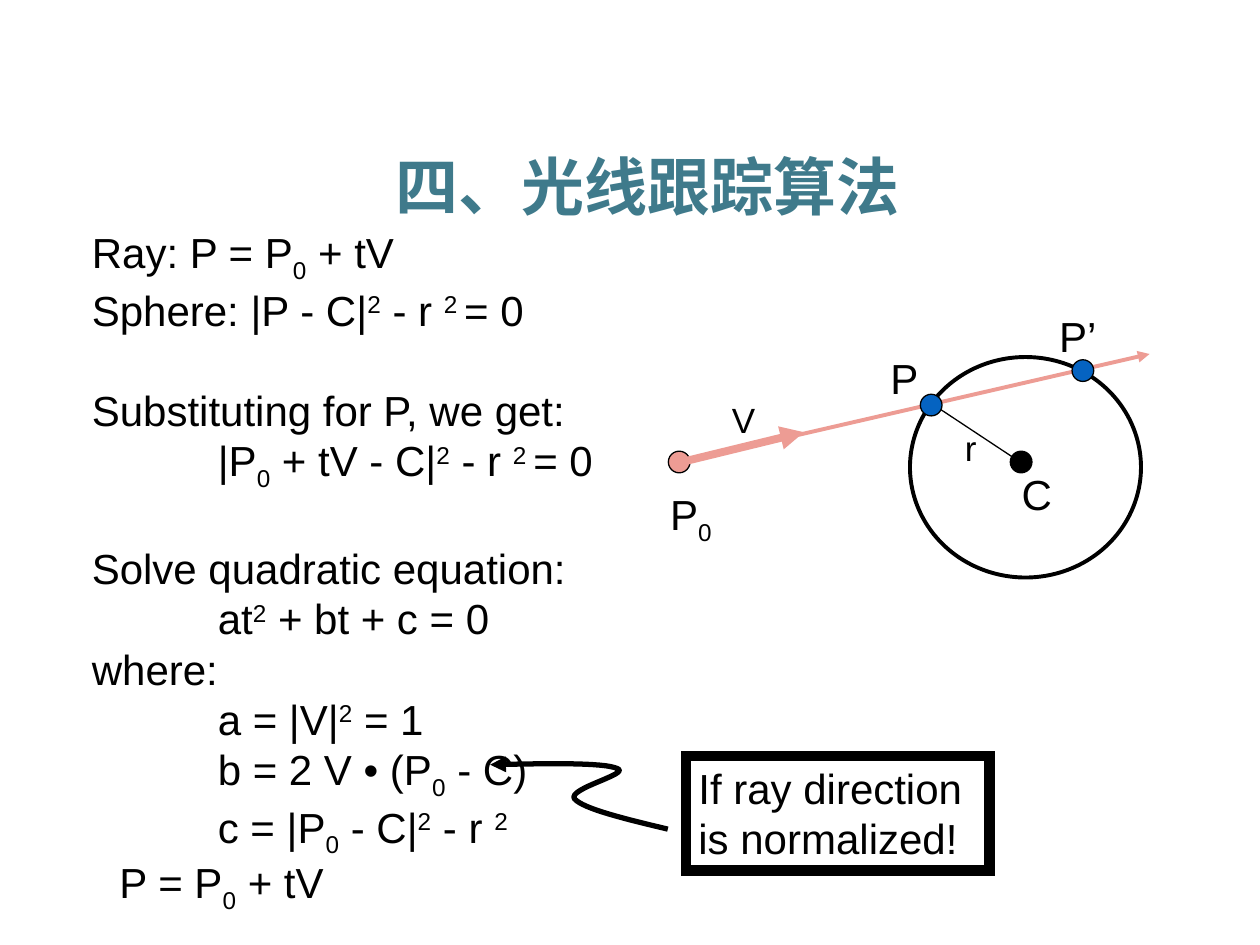
from lxml import etree
from pptx import Presentation
from pptx.dml.color import RGBColor
from pptx.enum import shapes as sh, text as tx
from pptx.oxml.ns import qn
from pptx.util import Pt

BLACK = RGBColor(0, 0, 0)
TEAL = RGBColor(0x3F, 0x7A, 0x8B)
PINK = RGBColor(0xED, 0x9C, 0x94)
BLUE = RGBColor(0x05, 0x63, 0xC1)
LATIN, HAN = "Arial", "Noto Sans CJK SC"
GAP = 28.6
TAB = 72
DOT = 12.4

# A part that starts with _ is lowered, one that starts with ^ is raised.
RAY = ("P = P", "_0", " + tV")
# (space before, parts)
STEPS = [
    (0, ("Ray: P = P", "_0", " + tV")),
    (0, ("Sphere: |P - C|", "^2", " - r ", "^2 ", "= 0")),
    (GAP, ("Substituting for P, we get:",)),
    (0, ("\t|P", "_0", " + tV - C|", "^2", " - r ", "^2 ", "= 0")),
    (GAP, ("Solve quadratic equation:",)),
    (0, ("\tat", "^2", " + bt + c = 0")),
    (0, ("where:",)),
    (0, ("\ta = |V|", "^2", " = 1")),
    (0, ("\tb = 2 V • (P", "_0", " - C)")),
    (0, ("\tc = |P", "_0", " - C|", "^2", " - r ", "^2")),
]
NOTE = [(0, ("If ray direction",)), (0, ("is normalized!",))]
TITLE = [(0, ("四、光线跟踪算法",))]

# (parts, size, left, top, width, height)
LABELS = [
    (("P", "_0"), 24, 375.8, 275.8, 39.6, 36.7),
    (("V",), 20, 411.1, 223.9, 28.1, 31.7),
    (("C",), 24, 576.7, 264.2, 32.4, 36.7),
    (("P",), 24, 501.8, 198, 31, 36.7),
    (("r",), 20, 544.3, 240, 20.9, 31.7),
    (("P’",), 24, 598.1, 174, 36, 36.7),
]
# (centre x, centre y, fill)
ENDS = [(388.1, 264, PINK), (583.5, 264, BLACK)]
HITS = [(532.1, 231.5, BLUE), (618.8, 211.8, BLUE)]
# (x1, y1, x2, y2, colour, width, arrow)
LINES = [
    (388.1, 264.2, 656.9, 202.3, PINK, 2.25, True),
    (388.8, 264.2, 459.4, 247, PINK, 4.5, True),
    (532.1, 230.4, 583.2, 264.2, BLACK, 0.75, False),
]
START = (381.6, 473.8)
BENDS = [
    ((357.1, 468), (333.4, 462.2), (328.3, 456.5)),
    ((324, 450.7), (360.7, 442.1), (352.8, 439.2)),
    ((344.9, 435.6), (312.5, 436.3), (280.1, 437)),
]


def style(line, color, width, arrow=False):
    line.color.rgb, line.width = color, Pt(width)
    if arrow:
        etree.SubElement(line._get_or_add_ln(), qn("a:tailEnd"), type="triangle")


def write(shape, paras, size=24, wrap=False, font=LATIN, para={}, **marks):
    frame = shape.text_frame
    looks = {"word_wrap": wrap, "vertical_anchor": tx.MSO_ANCHOR.TOP,
             "auto_size": tx.MSO_AUTO_SIZE.SHAPE_TO_FIT_TEXT}
    for key, value in looks.items():
        setattr(frame, key, value)
    for i, (gap, parts) in enumerate(paras):
        p = frame.add_paragraph() if i else frame.paragraphs[0]
        p.alignment = tx.PP_ALIGN.LEFT
        if gap:
            p.space_before = Pt(gap)
        for key, value in para.items():
            setattr(p, key, value)
        if parts[0].startswith("\t"):
            tabs = etree.SubElement(p._p.get_or_add_pPr(), qn("a:tabLst"))
            etree.SubElement(tabs, qn("a:tab"), pos=str(Pt(TAB)), algn="l")
        for part in parts:
            run = p.add_run()
            run.text = part.lstrip("_^")
            face = {"name": font, "size": Pt(size), **marks}
            run.font.color.rgb = face.pop("color", BLACK)
            for key, value in face.items():
                setattr(run.font, key, value)
            props = run._r.get_or_add_rPr()
            if font == HAN:
                etree.SubElement(props, qn("a:ea"), typeface=font)
            shift = {"_": "-25000", "^": "30000"}.get(part[0])
            if shift:
                props.set("baseline", shift)


def label(slide, box, paras, **looks):
    shape = slide.shapes.add_textbox(*map(Pt, box))
    write(shape, paras, **looks)
    return shape


def preset(slide, kind, box, width, fill=None):
    shape = slide.shapes.add_shape(kind, *map(Pt, box))
    shape.shadow.inherit = False
    if fill is None:
        shape.fill.background()
    else:
        shape.fill.solid()
        shape.fill.fore_color.rgb = fill
    style(shape.line, BLACK, width)
    return shape


def dots(slide, items):
    for x, y, fill in items:
        box = (x - DOT / 2, y - DOT / 2, DOT, DOT)
        preset(slide, sh.MSO_SHAPE.OVAL, box, 0.75, fill)


def curve(start, bends, steps=16):
    """Points along a chain of cubic Bezier curves."""
    points = [start]
    for a, b, end in bends:
        for k in range(1, steps + 1):
            t = k / steps
            s = 1 - t
            points.append(tuple(
                s**3 * p + 3 * s * s * t * q + 3 * s * t * t * r + t**3 * e
                for p, q, r, e in zip(start, a, b, end)))
        start = end
    return points


def main():
    deck = Presentation()
    deck.slide_width, deck.slide_height = Pt(720), Pt(540)
    slide = deck.slides.add_slide(deck.slide_layouts[6])

    label(slide, (45.4, 126, 313.9, 356.4), STEPS)
    label(slide, (61.2, 486, 133.9, 36), [(0, RAY)])

    preset(slide, sh.MSO_SHAPE.OVAL, (520, 204, 132, 126), 2.25)
    dots(slide, ENDS)
    for *ends, color, width, arrow in LINES:
        line = slide.shapes.add_connector(sh.MSO_CONNECTOR.STRAIGHT, *map(Pt, ends))
        style(line.line, color, width, arrow)
        etree.SubElement(line._element.spPr, qn("a:effectLst"))
    for parts, size, *box in LABELS:
        label(slide, box, [(0, parts)], size=size)
    dots(slide, HITS)

    first, *rest = [(Pt(x), Pt(y)) for x, y in curve(START, BENDS)]
    pen = slide.shapes.build_freeform(*first)
    pen.add_line_segments(rest, close=False)
    swirl = pen.convert_to_shape()
    swirl.shadow.inherit = False
    swirl.fill.background()
    style(swirl.line, BLACK, 3, True)

    note = preset(slide, sh.MSO_SHAPE.RECTANGLE, (392, 432, 173.5, 65.5), 6)
    etree.SubElement(note.line._get_or_add_ln(), qn("a:miter"), lim="800000")
    write(note, NOTE)
    title = label(slide, (130.7, 75.3, 478.8, 52.6), TITLE, size=36, wrap=True, font=HAN,
                  para={"alignment": tx.PP_ALIGN.CENTER, "line_spacing": 1.2},
                  color=TEAL, bold=True)
    title.text_frame.vertical_anchor = tx.MSO_ANCHOR.MIDDLE
    deck.save("out.pptx")


if __name__ == "__main__":
    main()
